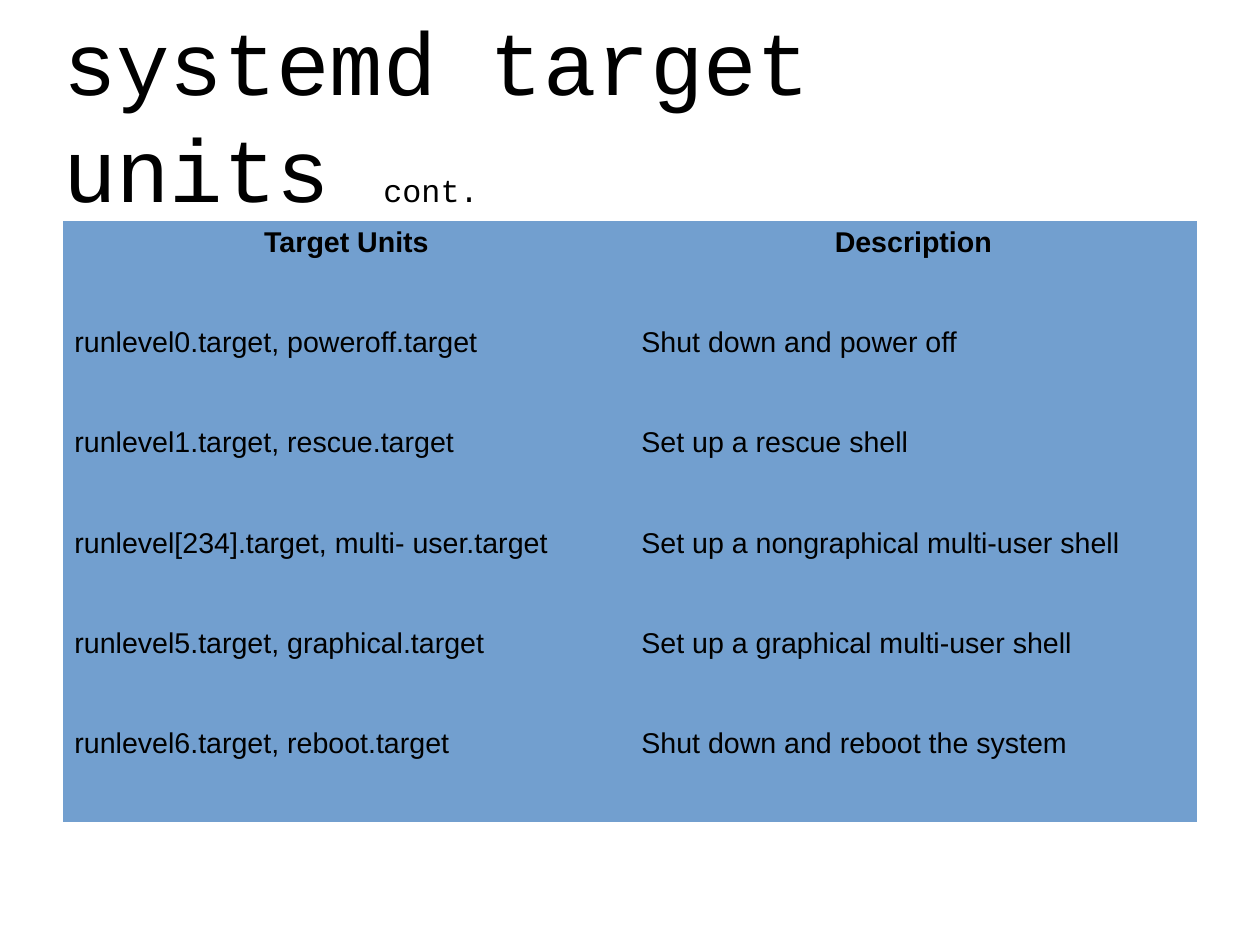
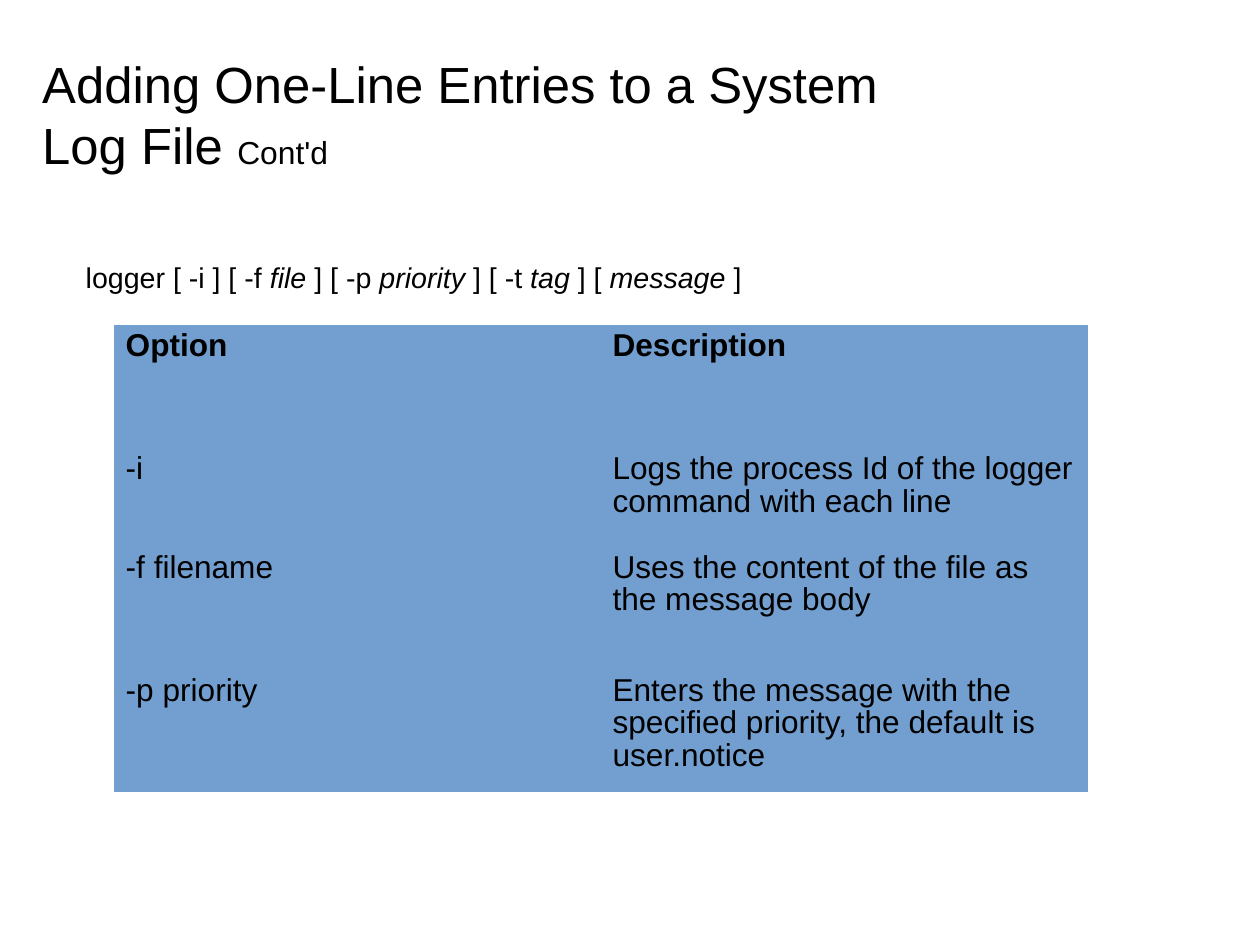
from pptx import Presentation
from pptx.dml.color import RGBColor
from pptx.enum.text import MSO_ANCHOR as Anchor, MSO_AUTO_SIZE as Fit, PP_ALIGN as Align
from pptx.oxml.ns import qn
from pptx.oxml.xmlchemy import OxmlElement
from pptx.util import Pt

BLACK = RGBColor(0x00, 0x00, 0x00)
BLUE = RGBColor(0x72, 0x9F, 0xCF)
SANS, MONO = "Arial", "Courier New"
PLAIN = "{2D5ABB26-0587-4C30-8999-92F81FD0307C}"  # table style without grid
SIZE = 793.7, 595.3
ONLY, BODY = 5, 1  # layouts: title only, title and content

UNITS = [
    ("Target Units", "Description"),
    ("runlevel0.target, poweroff.target", "Shut down and power off"),
    ("runlevel1.target, rescue.target", "Set up a rescue shell"),
    ("runlevel[234].target, multi- user.target", "Set up a nongraphical multi-user shell"),
    ("runlevel5.target, graphical.target", "Set up a graphical multi-user shell"),
    ("runlevel6.target, reboot.target", "Shut down and reboot the system"),
]
OPTIONS = [
    ("Option", "Description"),
    ("-i", "Logs the process Id of the logger command with each line"),
    ("-f filename", "Uses the content of the file as the message body"),
    ("-p priority", "Enters the message with the specified priority, "
                    "the default is user.notice"),
]
# Every second part is an argument, set in italics
SYNTAX = ["logger [ -i ] [ -f ", "file", " ] [ -p ", "priority",
          " ] [ -t ", "tag", " ] [ ", "message", " ]"]


def add_run(para, text, size, face=SANS, bold=False, italic=False):
    run = para.add_run()
    run.text = text
    font = run.font
    font.size, font.name = Pt(size), face
    font.bold, font.italic = bold, italic
    font.color.rgb = BLACK


def set_box(shape, box, anchor, pads):
    """Place a placeholder and return its first paragraph."""
    shape.left, shape.top, shape.width, shape.height = map(Pt, box)
    frame = shape.text_frame
    frame.word_wrap, frame.auto_size = True, Fit.NONE
    frame.vertical_anchor = anchor
    frame.margin_left = frame.margin_right = Pt(pads[0])
    frame.margin_top = frame.margin_bottom = Pt(pads[1])
    para = frame.paragraphs[0]
    para.alignment = Align.LEFT
    para.space_before = Pt(0)
    return para


def add_title(slide, lines, note, box, size, face=SANS, anchor=Anchor.BOTTOM, pads=(7.2, 3.6)):
    para = set_box(slide.shapes.title, box, anchor, pads)
    for i, line in enumerate(lines):
        if i:
            para.add_line_break()
        add_run(para, line, size, face)
    add_run(para, note, 20, face)


def add_syntax(slide, parts, box):
    para = set_box(slide.placeholders[1], box, Anchor.TOP, (7.2, 3.6))
    props = para._p.get_or_add_pPr()
    props.set("marL", str(Pt(26.6)))
    props.set("indent", str(Pt(-25.9)))
    props.append(OxmlElement("a:buNone"))
    for i, part in enumerate(parts):
        add_run(para, part, 18, italic=i % 2 == 1)


def add_grid(slide, rows, left, top, width, highs, size, head=Align.LEFT, space=None):
    cols = len(rows[0])
    table = slide.shapes.add_table(len(rows), cols, Pt(left), Pt(top),
                                   Pt(width), Pt(sum(highs))).table
    table._tbl.tblPr.find(qn("a:tableStyleId")).text = PLAIN
    table.horz_banding = False
    for col in table.columns:
        col.width = Pt(width / cols)
    for r, (row, high) in enumerate(zip(rows, highs)):
        table.rows[r].height = Pt(high)
        for c, text in enumerate(row):
            cell = table.cell(r, c)
            cell.fill.solid()
            cell.fill.fore_color.rgb = BLUE
            para = cell.text_frame.paragraphs[0]
            para.alignment = Align.LEFT if r else head
            if space:
                para.line_spacing = space
            add_run(para, text, size, bold=r == 0)


def main():
    deck = Presentation()
    deck.slide_width, deck.slide_height = map(Pt, SIZE)

    slide = deck.slides.add_slide(deck.slide_layouts[ONLY])
    add_title(slide, ["systemd target units "], "cont.", (39.7, 4.3, 553, 134.6),
              56.1, MONO, Anchor.MIDDLE, (0, 0))
    add_grid(slide, UNITS, 39.7, 139, 714.2, [63.2] * len(UNITS), 18, Align.CENTER)

    slide = deck.slides.add_slide(deck.slide_layouts[BODY])
    add_title(slide, ["Adding One-Line Entries to a System", "Log File "], "Cont'd",
              (19.4, 14.4, 707.8, 99.4), 32)
    add_syntax(slide, SYNTAX, (46.1, 160, 707.8, 350.6))
    add_grid(slide, OPTIONS, 72, 204.6, 613.4, [77.5, 62, 77.5, 77.5], 19.9, space=0.93)

    deck.save("out.pptx")


if __name__ == "__main__":
    main()
